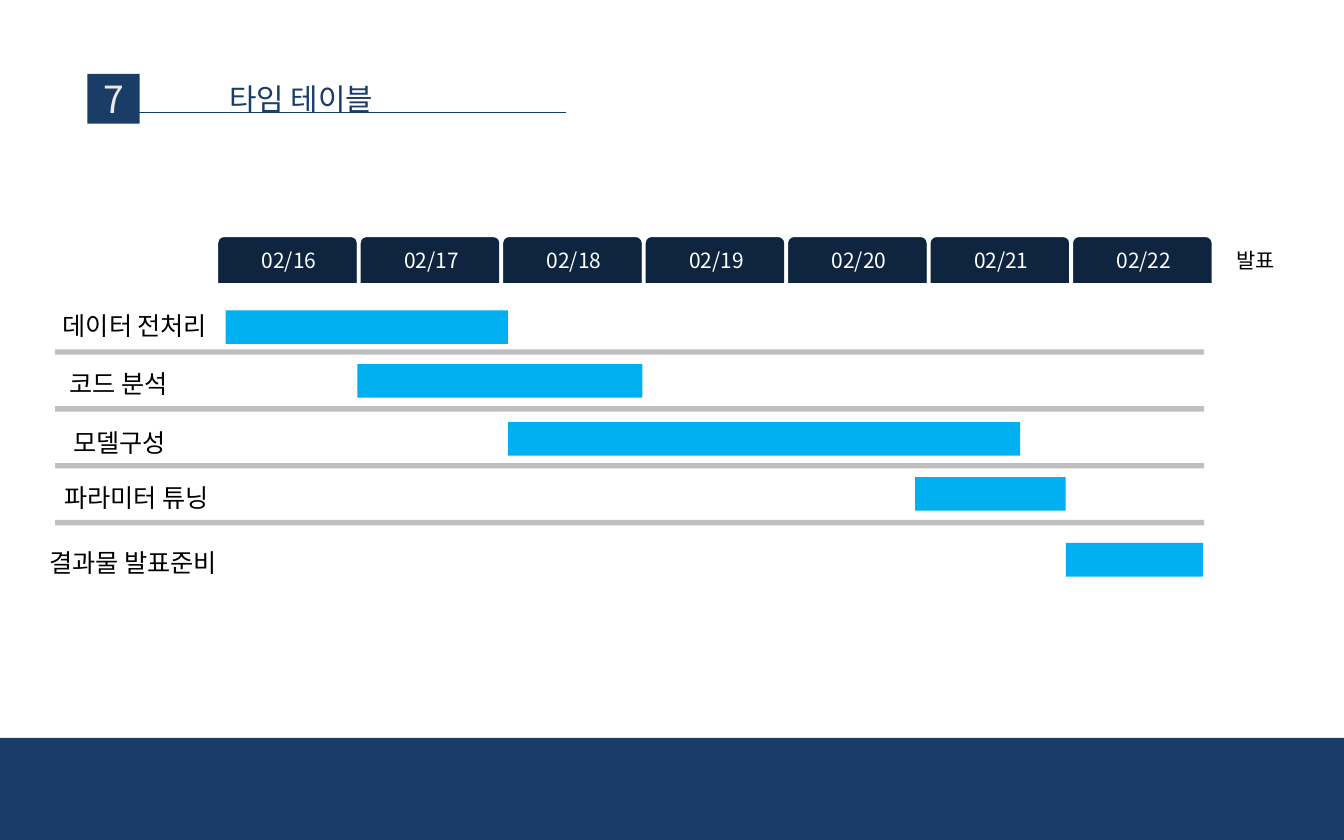
from lxml import etree
from pptx import Presentation
from pptx.dml.color import RGBColor
from pptx.enum.shapes import MSO_CONNECTOR, MSO_SHAPE
from pptx.enum.text import MSO_ANCHOR, MSO_AUTO_SIZE, PP_ALIGN
from pptx.oxml.ns import qn
from pptx.util import Inches, Pt

RECTANGLE = MSO_SHAPE.RECTANGLE
TAB = MSO_SHAPE.ROUND_2_SAME_RECTANGLE
STRAIGHT = MSO_CONNECTOR.STRAIGHT
MIDDLE = MSO_ANCHOR.MIDDLE
CENTER = PP_ALIGN.CENTER
FIT_TEXT = MSO_AUTO_SIZE.SHAPE_TO_FIT_TEXT

FONT = "Noto Sans CJK KR"
rgb = RGBColor.from_string
NAVY, DARK, SKY, GRAY = "1A3D68", "0F243E", "00B0F0", "BFBFBF"
WHITE, BLACK, CREAM = "FFFFFF", "000000", "EEECE1"

deck = Presentation()
deck.slide_width, deck.slide_height = Inches(10), Inches(6.25)
page = deck.slides.add_slide(deck.slide_layouts[6])


def add_block(left, top, width, height, color, kind=RECTANGLE):
    block = page.shapes.add_shape(
        kind, Inches(left), Inches(top), Inches(width), Inches(height))
    block.shadow.inherit = False
    block.fill.solid()
    block.fill.fore_color.rgb = rgb(color)
    block.line.fill.background()
    return block


def add_text(text, size, color, left, top, width, height, box=None):
    """Write one run into box, or into a new text box at the given place."""
    if box is None:
        box = page.shapes.add_textbox(
            Inches(left), Inches(top), Inches(width), Inches(height))
        box.text_frame.word_wrap = True
        box.text_frame.auto_size = FIT_TEXT
    span = box.text_frame.paragraphs[0].add_run()
    span.text = text
    span.font.size = Pt(size)
    span.font.name = FONT
    span.font.color.rgb = rgb(color)
    east_asian = etree.SubElement(span.font._element, qn("a:ea"))
    east_asian.set("typeface", FONT)


# Heading
number_place = (0.65, 0.55, 0.39, 0.37)
number = add_block(*number_place, NAVY)
number.text_frame.vertical_anchor = MIDDLE
number.text_frame.paragraphs[0].alignment = CENTER
add_text("7", 20, CREAM, *number_place, box=number)

rule = page.shapes.add_connector(
    STRAIGHT, Inches(0.98), Inches(0.84), Inches(4.21), Inches(0.84))
rule.line.color.rgb = rgb(NAVY)
rule.line.width = Pt(0.5)
etree.SubElement(rule._element.spPr, qn("a:effectLst"))
add_text("타임 테이블", 16, NAVY, 1.61, 0.55, 3.17, 0.37)

# Footer band
add_block(0, 5.49, 10, 0.76, NAVY)

# Date tabs
TAB_LEFT, TAB_WIDTH = 1.61, 1.06
for day in range(7):
    left = TAB_LEFT + day * TAB_WIDTH
    tab = add_block(left, 1.75, TAB_WIDTH, 0.37, DARK, TAB)
    tab.adjustments[0], tab.adjustments[1] = 0.155, 0
    tab.line.color.rgb = rgb(WHITE)
    tab.line.width = Pt(2)
    add_text(f"02/{16 + day}", 11.2, WHITE, left + 0.24, 1.79, 0.75, 0.29)
add_text("발표", 11.2, BLACK, 9.1, 1.79, 0.74, 0.29)

# Row separators
for row in range(4):
    add_block(0.41, 2.6 + row * 0.423, 8.55, 0.04, GRAY)

# Tasks: label, label left, top, width, then bar left, top, width
tasks = [
    ("데이터 전처리", 0.37, 2.26, 1.5, 1.68, 2.31, 2.1),
    ("코드 분석", 0.42, 2.69, 1.35, 2.66, 2.71, 2.12),
    ("모델구성", 0.45, 3.13, 1.35, 3.78, 3.14, 3.81),
    ("파라미터 튜닝", 0.38, 3.54, 1.44, 6.81, 3.55, 1.12),
    ("결과물 발표준비", 0.27, 4.02, 1.7, 7.93, 4.04, 1.02),
]
for label, left, top, width, bar_left, bar_top, bar_width in tasks:
    add_block(bar_left, bar_top, bar_width, 0.25, SKY)
    add_text(label, 13.5, BLACK, left, top, width, 0.33)

deck.save("out.pptx")
